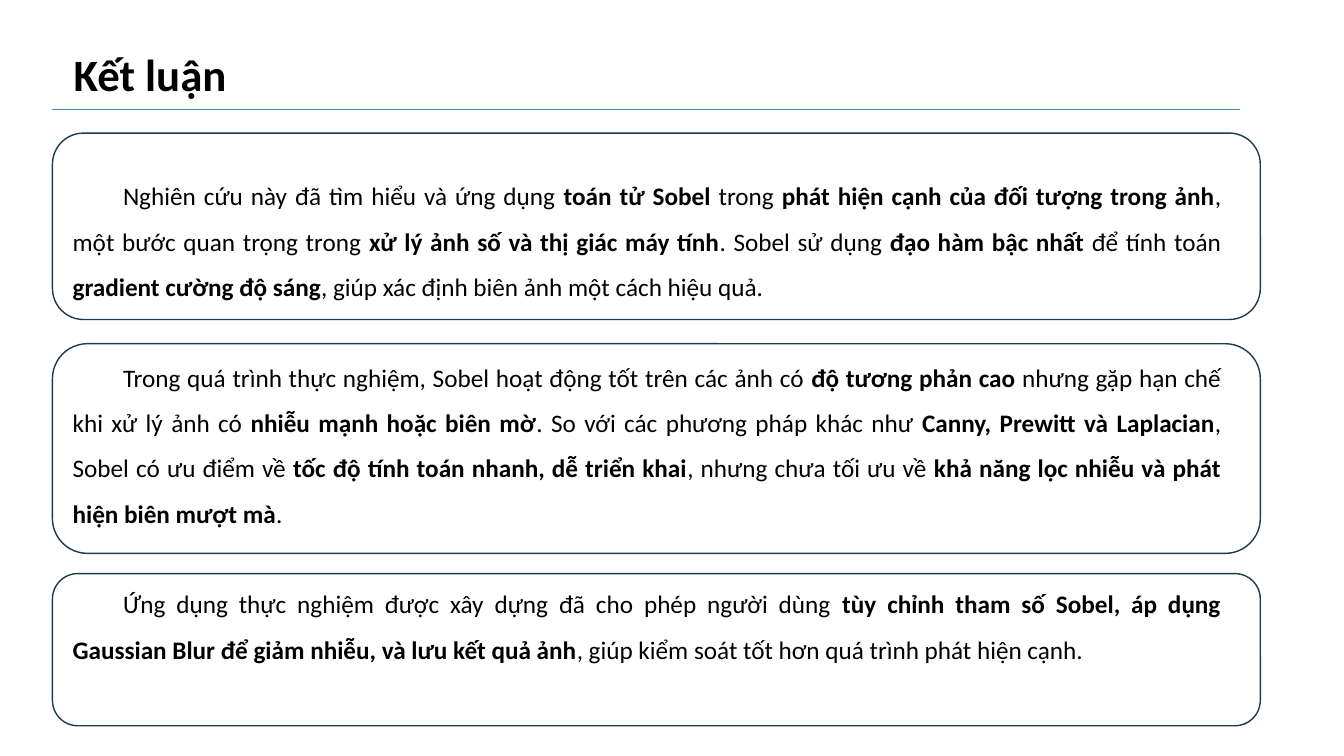
from lxml import etree
from pptx import Presentation
from pptx.dml.color import RGBColor
from pptx.enum import shapes, text
from pptx.oxml.ns import qn
from pptx.util import Inches, Pt

FONT = "Calibri"
COLORS = {"text": "000000", "rule": "418AB3", "frame": "1C3C4E"}
TITLE = "Kết luận"
# Phrases between double asterisks are bold.
CONCLUSIONS = [
    "Nghiên cứu này đã tìm hiểu và ứng dụng **toán tử Sobel** trong "
    "**phát hiện cạnh của đối tượng trong ảnh**, một bước quan trọng trong "
    "**xử lý ảnh số và thị giác máy tính**. Sobel sử dụng **đạo hàm bậc nhất** "
    "để tính toán **gradient cường độ sáng**, giúp xác định biên ảnh một cách hiệu quả.",
    "Trong quá trình thực nghiệm, Sobel hoạt động tốt trên các ảnh có "
    "**độ tương phản cao** nhưng gặp hạn chế khi xử lý ảnh có "
    "**nhiễu mạnh hoặc biên mờ**. So với các phương pháp khác như "
    "**Canny, Prewitt và Laplacian**, Sobel có ưu điểm về "
    "**tốc độ tính toán nhanh, dễ triển khai**, nhưng chưa tối ưu về "
    "**khả năng lọc nhiễu và phát hiện biên mượt mà**.",
    "Ứng dụng thực nghiệm được xây dựng đã cho phép người dùng "
    "**tùy chỉnh tham số Sobel, áp dụng Gaussian Blur để giảm nhiễu, "
    "và lưu kết quả ảnh**, giúp kiểm soát tốt hơn quá trình phát hiện cạnh.",
]
FRAME_SPANS = [(1.32, 1.85), (3.41, 2.08), (5.69, 1.51)]  # top, height


def color(name):
    return RGBColor.from_string(COLORS[name])


def place(shape, left, top, width, height):
    shape.left, shape.top = Inches(left), Inches(top)
    shape.width, shape.height = Inches(width), Inches(height)


def prepare_frame(frame):
    frame.word_wrap = True
    frame.auto_size = text.MSO_AUTO_SIZE.NONE
    frame.vertical_anchor = text.MSO_ANCHOR.TOP


def format_run(run, size, bold):
    run.font.name = FONT
    run.font.size = Pt(size)
    run.font.bold = bold
    run.font.color.rgb = color("text")


def add_heading(slide, left, top, width):
    """Fill the title placeholder and draw the rule below it."""
    title = slide.shapes.title
    place(title, left + 0.11, top, 6.04, 0.64)
    prepare_frame(title.text_frame)
    title.text_frame.text = TITLE
    paragraph = title.text_frame.paragraphs[0]
    paragraph.alignment = text.PP_ALIGN.LEFT
    format_run(paragraph.runs[0], 32, True)

    rule_top = Inches(top + 0.68)
    rule = slide.shapes.add_connector(
        shapes.MSO_CONNECTOR.STRAIGHT,
        Inches(left), rule_top, Inches(left + width), rule_top)
    rule.line.color.rgb = color("rule")
    rule.line.width = Pt(0.5)
    etree.SubElement(rule._element.spPr, qn("a:effectLst"))


def add_conclusions(slide, left, top, width, height):
    body = slide.placeholders[1]
    place(body, left, top, width, height)
    frame = body.text_frame
    prepare_frame(frame)
    frame.text = "\n".join(CONCLUSIONS)
    for index, paragraph in enumerate(frame.paragraphs):
        paragraph.text = ""
        paragraph.alignment = text.PP_ALIGN.JUSTIFY
        paragraph.line_spacing = 1.5
        paragraph.space_before = Pt(32.4 if index else 0)
        properties = paragraph._p.get_or_add_pPr()
        properties.set("marL", "0")
        properties.set("indent", str(Inches(0.5)))
        etree.SubElement(properties, qn("a:buNone"))
        for part, phrase in enumerate(CONCLUSIONS[index].split("**")):
            run = paragraph.add_run()
            run.text = phrase
            format_run(run, 18, part % 2 == 1)


def add_frames(slide, left, width):
    for top, height in FRAME_SPANS:
        frame = slide.shapes.add_shape(
            shapes.MSO_SHAPE.ROUNDED_RECTANGLE,
            Inches(left), Inches(top), Inches(width), Inches(height))
        frame.shadow.inherit = False
        frame.fill.background()
        frame.line.color.rgb = color("frame")
        frame.line.width = Pt(1)


def main():
    presentation = Presentation()
    presentation.slide_width = Inches(13.33)
    presentation.slide_height = Inches(7.5)
    slide = presentation.slides.add_slide(presentation.slide_layouts[1])
    add_heading(slide, 0.52, 0.41, 11.78)
    add_conclusions(slide, 0.62, 1.59, 11.59, 5.5)
    add_frames(slide, 0.52, 11.98)
    presentation.save("out.pptx")


if __name__ == "__main__":
    main()
